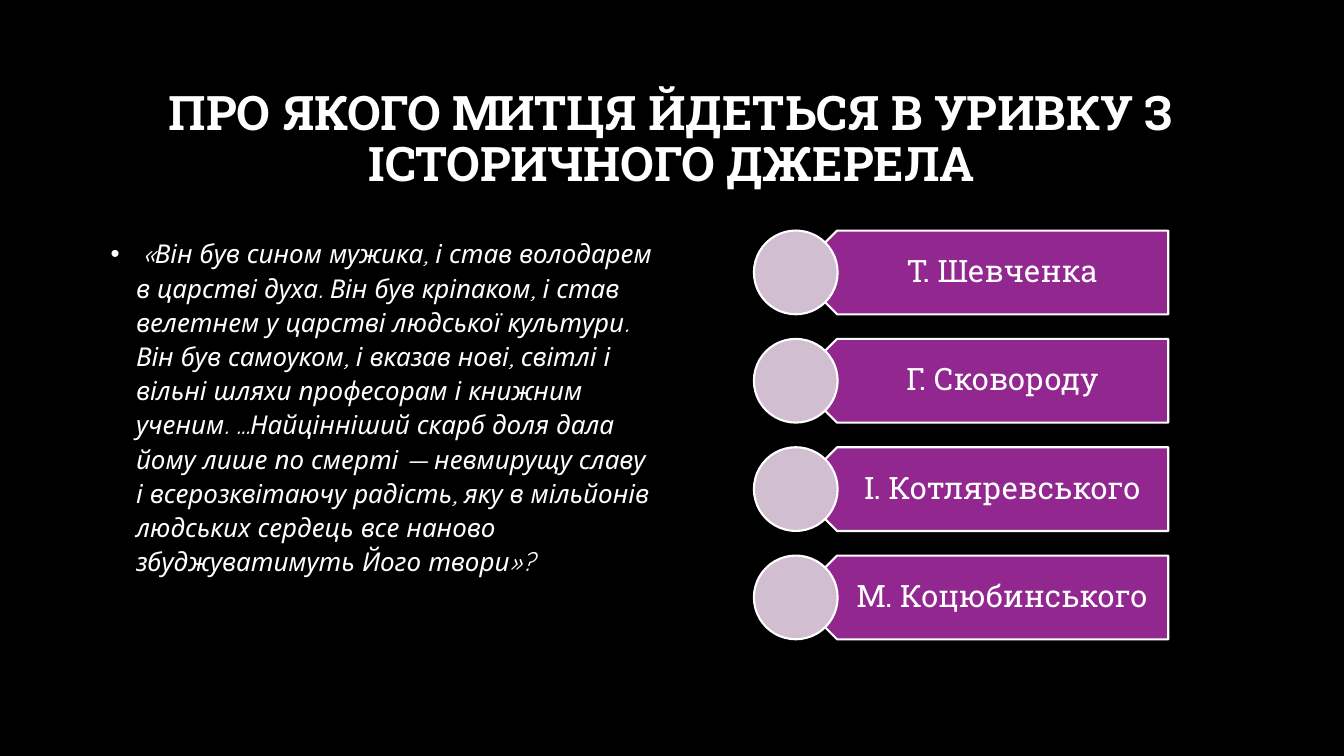
"""Build a quiz slide with a quotation and four possible answers."""
from dataclasses import dataclass

from lxml import etree
from pptx import Presentation
from pptx.dml.color import RGBColor
from pptx.enum.shapes import MSO_SHAPE
from pptx.enum.text import MSO_ANCHOR, PP_ALIGN
from pptx.oxml.ns import qn
from pptx.shapes.autoshape import Shape
from pptx.slide import Slide
from pptx.util import Cm, Pt

BLACK = RGBColor(0x00, 0x00, 0x00)
WHITE = RGBColor(0xFF, 0xFF, 0xFF)
PURPLE = RGBColor(0x92, 0x27, 0x8F)
LILAC = RGBColor(0xD2, 0xBE, 0xD1)

PENTAGON = MSO_SHAPE.PENTAGON
OVAL = MSO_SHAPE.OVAL
CENTER = PP_ALIGN.CENTER
LEFT = PP_ALIGN.LEFT
MIDDLE = MSO_ANCHOR.MIDDLE
TOP = MSO_ANCHOR.TOP

SERIF = "Roboto Slab"
SANS = "Quicksand"
ANSWER_TOP = 5.81
ANSWER_STEP = 2.73
ANSWER_HEIGHT = 2.11

TITLE = "ПРО ЯКОГО МИТЦЯ ЙДЕТЬСЯ В УРИВКУ З ІСТОРИЧНОГО ДЖЕРЕЛА"
QUOTE = (
    " «Він був сином мужика, і став володарем в царстві духа. "
    "Він був кріпаком, і став велетнем у царстві людської культури. "
    "Він був самоуком, і вказав нові, світлі і вільні шляхи професорам "
    "і книжним ученим. ...Найцінніший скарб доля дала йому лише по "
    "смерті — невмирущу славу і всерозквітаючу радість, яку в мільйонів "
    "людських сердець все наново збуджуватимуть Його твори»?"
)
ANSWERS = ("Т. Шевченка", "Г. Сковороду", "І. Котляревського", "М. Коцюбинського")


@dataclass(frozen=True)
class Frame:
    """Position and size in centimetres."""

    left: float
    top: float
    width: float
    height: float

    def lengths(self) -> tuple[Cm, Cm, Cm, Cm]:
        """Return the four values as slide lengths."""
        return Cm(self.left), Cm(self.top), Cm(self.width), Cm(self.height)


def add_text(
    page: Slide,
    text: str,
    frame: Frame,
    *,
    size: float,
    font: str = SERIF,
    bold: bool = False,
    italic: bool = False,
    align: PP_ALIGN = CENTER,
    anchor: MSO_ANCHOR = MIDDLE,
    spacing: float = 0.9,
    insets: tuple[float, float, float, float] = (0.25, 0.13, 0.25, 0.13),
    bullet: bool = False,
) -> None:
    """Add a wrapped text box with one formatted paragraph."""
    box = page.shapes.add_textbox(*frame.lengths())
    body = box.text_frame
    body.word_wrap = True
    body.vertical_anchor = anchor
    body.margin_left, body.margin_top, body.margin_right, body.margin_bottom = map(Cm, insets)
    para = body.paragraphs[0]
    para.alignment = align
    para.line_spacing = spacing
    if bullet:
        properties = para._p.get_or_add_pPr()
        properties.set("marL", str(Cm(0.64)))
        properties.set("indent", str(Cm(-0.64)))
        etree.SubElement(properties, qn("a:buFont"), typeface="Arial")
        etree.SubElement(properties, qn("a:buChar"), char="•")
    span = para.add_run()
    span.text = text
    span.font.name = font
    span.font.size = Pt(size)
    span.font.bold = bold
    span.font.italic = italic
    span.font.color.rgb = WHITE


def add_outlined(page: Slide, kind: MSO_SHAPE, frame: Frame, fill: RGBColor) -> Shape:
    """Add a filled shape with a white outline."""
    shape = page.shapes.add_shape(kind, *frame.lengths())
    shape.shadow.inherit = False
    shape.fill.solid()
    shape.fill.fore_color.rgb = fill
    shape.line.color.rgb = WHITE
    shape.line.width = Pt(1.5)
    return shape


def add_answer(page: Slide, text: str, top: float) -> None:
    """Add one answer: a banner, its label and a round marker."""
    banner = add_outlined(page, PENTAGON, Frame(20.04, top, 9.4, ANSWER_HEIGHT), PURPLE)
    banner.rotation = 180
    label = Frame(20.57, top, 8.89, ANSWER_HEIGHT)
    add_text(page, text, label, size=22, insets=(0.91, 0.23, 0.43, 0.23))
    add_outlined(page, OVAL, Frame(19, top, ANSWER_HEIGHT, ANSWER_HEIGHT), LILAC)


def main() -> None:
    """Build and save the deck."""
    deck = Presentation()
    deck.slide_width, deck.slide_height = Cm(33.87), Cm(19.05)
    page = deck.slides.add_slide(deck.slide_layouts[6])
    page.background.fill.solid()
    page.background.fill.fore_color.rgb = BLACK
    add_text(page, TITLE, Frame(2.54, 1.7, 28.75, 3.68), size=34, bold=True)
    add_text(
        page, QUOTE, Frame(2.54, 5.79, 14.17, 10.29), size=18.5, font=SANS,
        italic=True, align=LEFT, anchor=TOP, spacing=1.1, bullet=True,
    )
    for index, answer in enumerate(ANSWERS):
        add_answer(page, answer, ANSWER_TOP + index * ANSWER_STEP)
    deck.save("out.pptx")


if __name__ == "__main__":
    main()
